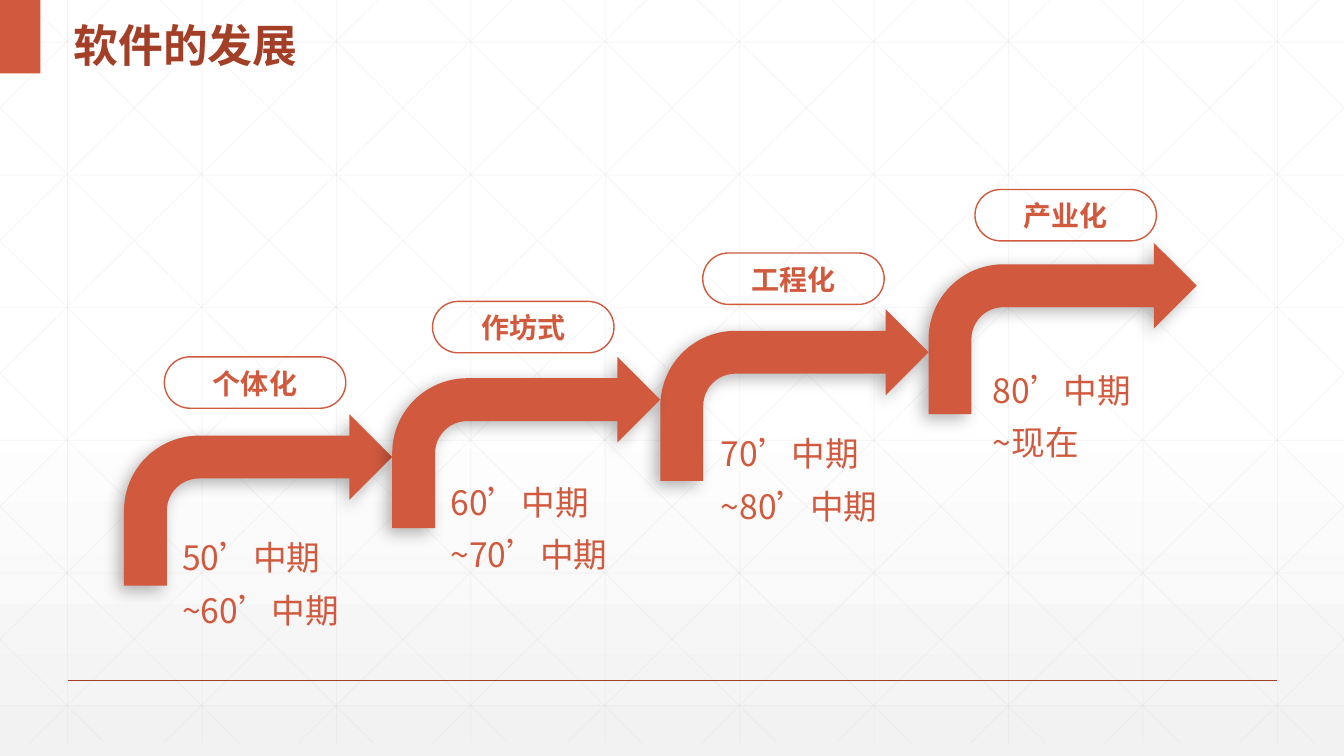
from lxml import etree
from pptx import Presentation
from pptx import util as u
from pptx.dml import color as dml
from pptx.enum import lang, shapes, text
from pptx.oxml import ns

WIDTH, HEIGHT = 13.33, 7.5
ACCENT, DARK, GRID = "D15A3E", "A43F27", "D9D9D9"
CJK = "Noto Sans CJK SC"

STAGES = [
    ("个体化", "50’中期~60’中期", 4.11, (1.63, 3.54), 1.91),
    ("作坊式", "60’中期~70’中期", 3.54, (4.29, 2.99), 1.91),
    ("工程化", "70’中期~80’中期", 3.07, (6.97, 2.51), 1.91),
    ("产业化", "80’中期~现在", 2.41, (9.67, 1.88), 1.73),
]
TITLE_FORMAT = {"name": "Arial", "size": u.Pt(32), "bold": True}
LABEL_FORMAT = {"name": CJK, "size": u.Pt(20), "bold": True}
DATE_FORMAT = {"name": CJK, "size": u.Pt(24), "bold": False}


def rgb(value):
    return dml.RGBColor.from_string(value)


def inches(*lengths):
    return [u.Inches(length) for length in lengths]


def add_child(parent, tag, **attributes):
    return etree.SubElement(parent, ns.qn(tag), attributes)


def rule(parts, start, end, color, points, alpha=None):
    line = parts.add_connector(shapes.MSO_CONNECTOR.STRAIGHT, *inches(*start, *end))
    line.line.color.rgb = rgb(color)
    line.line.width = u.Pt(points)
    if alpha:
        swatch = next(line.line._get_or_add_ln().iter(ns.qn("a:srgbClr")))
        add_child(swatch, "a:alpha", val=str(alpha * 1000))
    add_child(line._element.spPr, "a:effectLst")


def solid(parts, preset, box, color):
    part = parts.add_shape(preset, *inches(*box))
    part.shadow.inherit = False
    part.fill.solid()
    part.fill.fore_color.rgb = rgb(color)
    part.line.fill.background()
    return part


def write(parts, box, wording, color, font_format, frame_format, paragraph_format):
    frame = parts.add_textbox(*inches(*box)).text_frame
    for key, value in {"word_wrap": True, **frame_format}.items():
        setattr(frame, key, value)
    paragraph = frame.paragraphs[0]
    for key, value in paragraph_format.items():
        setattr(paragraph, key, value)
    run = paragraph.add_run()
    run.text = wording
    for key, value in font_format.items():
        setattr(run.font, key, value)
    run.font.color.rgb = rgb(color)
    run.font.language_id = lang.MSO_LANGUAGE_ID.SIMPLIFIED_CHINESE
    if font_format["name"] == CJK:
        add_child(run._r.get_or_add_rPr(), "a:ea", typeface=CJK)


def backdrop(slide):
    fill = slide.background.fill
    fill.gradient()
    fill.gradient_angle = 270
    for stop, (position, color) in zip(fill.gradient_stops, [(0.53, "FFFFFF"), (1, "F2F2F2")]):
        stop.position = position
        stop.color.rgb = rgb(color)


def lattice(slide, width, height):
    parts = slide.shapes.add_group_shape().shapes
    pitch, run = 4 / 3, 7.455
    lines = [((0.67 + pitch * i, 0), (0.67 + pitch * i, height)) for i in range(10)]
    lines += [((0, 0.42 + 1.316 * i), (width, 0.42 + 1.316 * i)) for i in range(6)]
    for i in range(-5, 10):
        top = 0.25 + pitch * i
        left, right = max(top, 0), min(top + run, width)
        upper, lower = ((x - top) * height / run for x in (left, right))
        lines.append(((left, upper), (right, lower)))
        lines.append(((width - left, upper), (width - right, lower)))
    for start, end in lines:
        rule(parts, start, end, GRID, 0.5, 25)


def heading(slide, left, top, height):
    solid(slide.shapes, shapes.MSO_SHAPE.RECTANGLE, (left, top, 0.4, height), ACCENT)
    write(slide.shapes, (left + 0.63, top, 5.69, height), "软件的发展", DARK, TITLE_FORMAT,
          {"vertical_anchor": text.MSO_ANCHOR.MIDDLE}, {"line_spacing": 1.3})


def step_arrow(slide, left, top, width, height):
    arrow = solid(slide.shapes, shapes.MSO_SHAPE.BENT_ARROW, (left, top, width, height), ACCENT)
    effects = arrow._element.spPr.find(ns.qn("a:effectLst"))
    shadow = add_child(effects, "a:outerShdw", blurRad=str(u.Pt(12)), dist=str(u.Pt(5)),
                       dir="8100000", algn="tr", rotWithShape="0")
    add_child(add_child(shadow, "a:srgbClr", val="000000"), "a:alpha", val="30000")


def stage_caption(slide, left, top, label, period, period_width):
    pill = solid(slide.shapes, shapes.MSO_SHAPE.ROUNDED_RECTANGLE, (left, top, 1.8, 0.51), ACCENT)
    pill.adjustments[0] = 0.5
    pill.fill.background()
    pill.line.color.rgb = rgb(ACCENT)
    pill.line.width = u.Pt(1)
    fit = {"auto_size": text.MSO_AUTO_SIZE.SHAPE_TO_FIT_TEXT}
    margins = {f"margin_{side}": 0 for side in ("left", "top", "right", "bottom")}
    write(slide.shapes, (left + 0.23, top + 0.09, 1.34, 0.34), label, ACCENT, LABEL_FORMAT,
          {**fit, **margins, "vertical_anchor": text.MSO_ANCHOR.MIDDLE},
          {"alignment": text.PP_ALIGN.CENTER})
    write(slide.shapes, (left + 0.08, top + 1.62, period_width, 1.15), period, ACCENT,
          DATE_FORMAT, fit, {"line_spacing": 1.3})


def staircase(slide, left, step, height):
    for i in (3, 0, 2, 1):
        step_arrow(slide, left + step * i, STAGES[i][2], step, height)
    for label, period, _, corner, period_width in STAGES:
        stage_caption(slide, *corner, label, period, period_width)


def main():
    deck = Presentation()
    deck.slide_width, deck.slide_height = inches(WIDTH, HEIGHT)
    slide = deck.slides.add_slide(deck.slide_layouts[6])
    backdrop(slide)
    lattice(slide, WIDTH, 7.37)
    rule(slide.shapes, (0.67, 6.75), (12.67, 6.75), DARK, 1)
    heading(slide, 0, 0, 0.73)
    staircase(slide, 1.23, 2.66, 1.7)
    deck.save("out.pptx")


if __name__ == "__main__":
    main()
